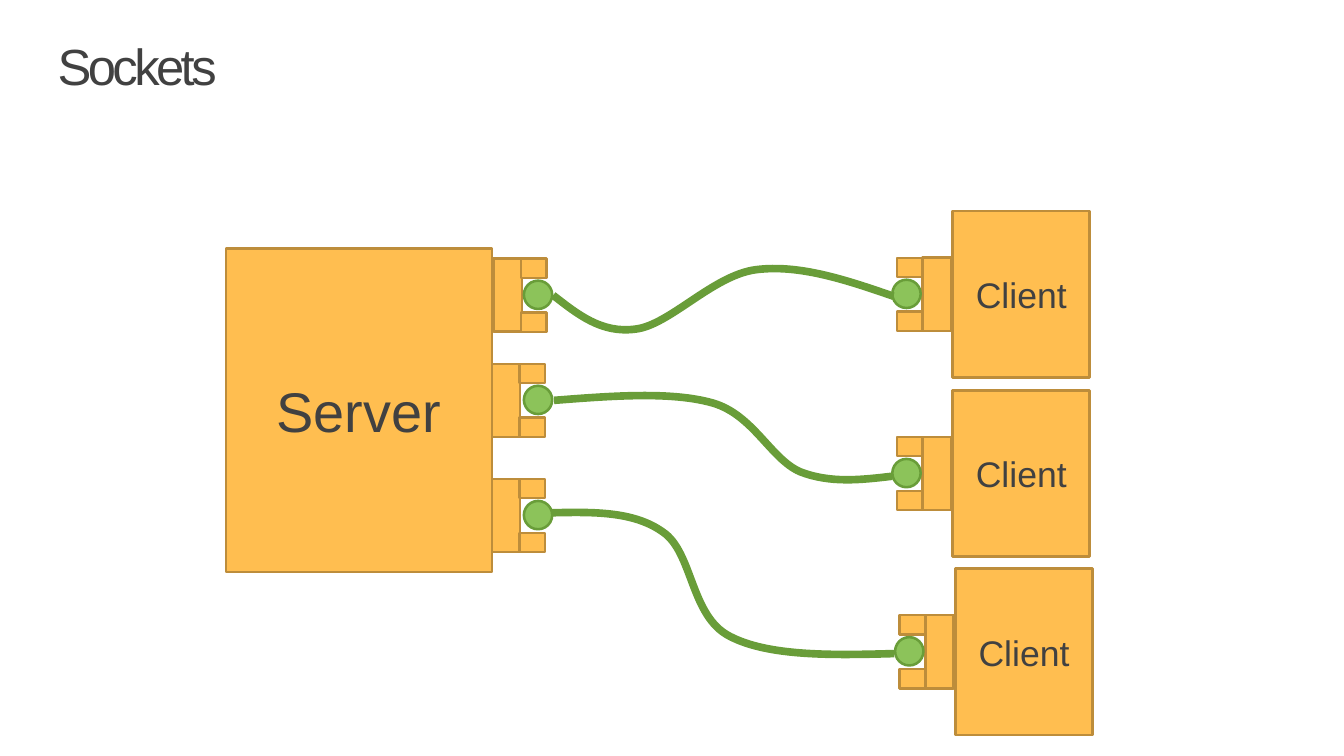
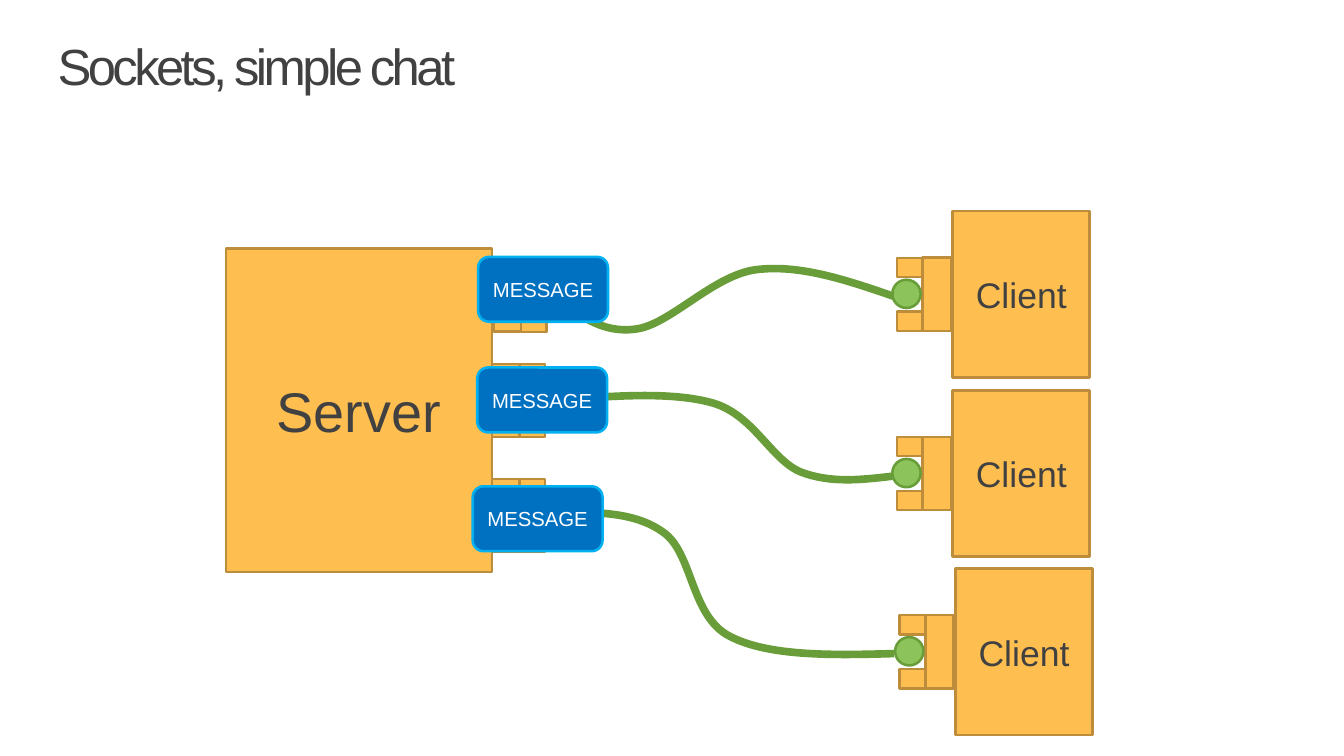
from lxml.etree import SubElement
from pptx import Presentation
from pptx.dml.color import RGBColor
from pptx.enum.shapes import MSO_SHAPE as SHAPE
from pptx.enum.text import MSO_ANCHOR as ANCHOR, MSO_AUTO_SIZE as AUTO, PP_ALIGN as ALIGN
from pptx.oxml.ns import qn
from pptx.util import Inches, Pt

# Shared look: fill, line
FONT, DARK, WHITE = "Arial", "414141", "FFFFFF"
BOX = ("FFBE50", "BD8D3B")
PLUG = ("8CC35A", "699D39")
NOTE = ("0070C0", "00B0F0")
TITLE_FRAME = dict(margin_left=0, margin_top=Inches(0.12), margin_right=0,
                   margin_bottom=0, vertical_anchor=ANCHOR.TOP,
                   auto_size=AUTO.NONE, word_wrap=True)

# Sizes in inches
SERVER = (2.47, 2.72, 2.91, 3.54)
CLIENT_W, CLIENT_H = 1.5, 1.82
PORT_W, PORT_H = 0.31, 0.8
ARM_W, ARM_H = 0.28, 0.21
PLUG_D, PLUG_DROP = 0.31, 0.24
PLUG_X = 5.73
NOTE_W, NOTE_H = 1.42, 0.71

# One link per client: server port, client box, wire as a chain of cubic curves
LINKS = [
    dict(port=(5.4, 2.83), client=(10.42, 2.31),
         wire=[(6.05, 3.23), (6.32, 3.44), (6.58, 3.65), (6.95, 3.6), (7.32, 3.56),
               (7.8, 3.01), (8.27, 2.95), (8.74, 2.89), (9.25, 3.06), (9.77, 3.24)]),
    dict(port=(5.38, 3.98), client=(10.42, 4.27),
         wire=[(6.06, 4.38), (6.7, 4.33), (7.35, 4.28), (7.8, 4.41), (8.24, 4.54),
               (8.43, 5.02), (8.75, 5.16), (9.08, 5.29), (9.42, 5.25), (9.76, 5.21)]),
    dict(port=(5.38, 5.24), client=(10.45, 6.22),
         wire=[(6.03, 5.61), (6.48, 5.6), (6.93, 5.59), (7.25, 5.82), (7.58, 6.04),
               (7.55, 6.74), (7.98, 6.96), (8.4, 7.18), (9.09, 7.17), (9.78, 7.15)]),
]
SLIDES = [
    dict(title="Sockets", messages=[]),
    dict(title="Sockets, simple chat",
         messages=[(5.23, 2.81), (5.22, 4.02), (5.17, 5.32)]),
]


def rgb(value):
    return RGBColor.from_string(value)


def format_run(r, size, color):
    for name, value in dict(name=FONT, size=Pt(size)).items():
        setattr(r.font, name, value)
    r.font.color.rgb = rgb(color)


def add_shape(shapes, kind, box, style, text="", size=28, color=DARK):
    sp = shapes.add_shape(kind, *map(Inches, box))
    sp.shadow.inherit = False
    sp.fill.solid()
    sp.fill.fore_color.rgb, sp.line.color.rgb = map(rgb, style)
    sp.line.width = Pt(2)
    if text:
        tf = sp.text_frame
        tf.vertical_anchor = ANCHOR.MIDDLE
        p = tf.paragraphs[0]
        p.alignment = ALIGN.CENTER
        r = p.add_run()
        r.text = text
        format_run(r, size, color)


def is_inside(inner, outer):
    return all(outer[i] <= inner[i] and
               inner[i] + inner[i + 2] <= outer[i] + outer[i + 2] for i in (0, 1))


def add_port(s, x, y, arm_x, messages=()):
    """A socket: a body with an arm at its top and bottom, unless a message covers it."""
    shapes = s.shapes.add_group_shape().shapes
    add_shape(shapes, SHAPE.RECTANGLE, (x, y, PORT_W, PORT_H), BOX)
    for arm_y in (y, y + PORT_H - ARM_H):
        arm = (arm_x, arm_y, ARM_W, ARM_H)
        if not any(is_inside(arm, (*at, NOTE_W, NOTE_H)) for at in messages):
            add_shape(shapes, SHAPE.RECTANGLE, arm, BOX)


def add_plug(s, x, port_y):
    add_shape(s.shapes, SHAPE.OVAL, (x, port_y + PLUG_DROP, PLUG_D, PLUG_D), PLUG)


def add_wire(s, chain):
    chain = [(Inches(x), Inches(y)) for x, y in chain]
    anchors = chain[::3]
    builder = s.shapes.build_freeform(*anchors[0])
    builder.add_line_segments(anchors[1:], close=False)
    sp = builder.convert_to_shape()
    sp.shadow.inherit = False
    sp.fill.background()
    sp.line.color.rgb = rgb(PLUG[1])
    sp.line.width = Pt(6)
    # Bend each straight segment into a cubic curve
    outline = next(sp._element.iter(qn("a:path")))
    for i, segment in enumerate(outline.findall(qn("a:lnTo"))):
        curve = SubElement(outline, qn("a:cubicBezTo"))
        for x, y in chain[3 * i + 1:3 * i + 4]:
            SubElement(curve, qn("a:pt"), x=str(x - sp.left), y=str(y - sp.top))
        outline.replace(segment, curve)


def add_title(s, text):
    title = s.shapes.title
    title.left, title.top, title.width, title.height = map(Inches, (0.63, 0.43, 14.07, 1.02))
    tf = title.text_frame
    for name, value in TITLE_FRAME.items():
        setattr(tf, name, value)
    p = tf.paragraphs[0]
    p.alignment, p.line_spacing = ALIGN.LEFT, 0.73
    r = p.add_run()
    r.text = text
    format_run(r, 40, DARK)
    r.font._element.set("spc", "-280")


def add_link(s, link, messages):
    port_x, port_y = link["port"]
    x, y = link["client"]
    client_port_y = y + 0.51
    # Server end; a message takes the place of the plug
    add_port(s, port_x, port_y, port_x + 0.3, messages)
    if not messages:
        add_plug(s, PLUG_X, port_y)
    # Client end
    add_shape(s.shapes, SHAPE.RECTANGLE, (x, y, CLIENT_W, CLIENT_H), BOX, "Client")
    add_port(s, x - 0.33, client_port_y, x - 0.61)
    add_plug(s, x - 0.66, client_port_y)
    add_wire(s, link["wire"])


def main():
    prs = Presentation()
    prs.slide_width, prs.slide_height = Inches(14.7), Inches(8.27)
    for content in SLIDES:
        s = prs.slides.add_slide(prs.slide_layouts[5])
        add_title(s, content["title"])
        add_shape(s.shapes, SHAPE.RECTANGLE, SERVER, BOX, "Server", 44)
        for link in LINKS:
            add_link(s, link, content["messages"])
        for at in content["messages"]:
            add_shape(s.shapes, SHAPE.ROUNDED_RECTANGLE, (*at, NOTE_W, NOTE_H), NOTE,
                      "MESSAGE", 16, WHITE)
    prs.save("out.pptx")


if __name__ == "__main__":
    main()
